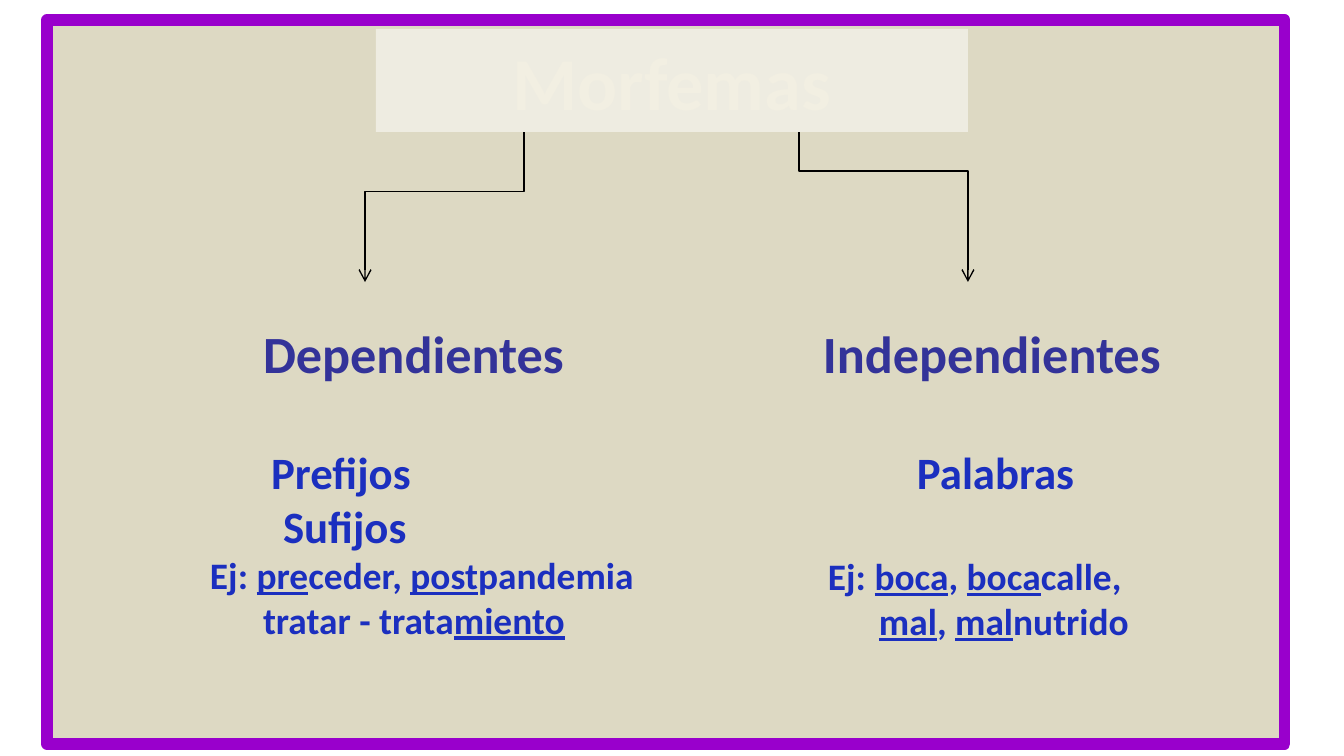
from lxml import etree
from pptx import Presentation
from pptx.dml.color import RGBColor
from pptx.enum.shapes import MSO_CONNECTOR, MSO_SHAPE
from pptx.enum.text import MSO_ANCHOR, PP_ALIGN
from pptx.oxml.ns import qn
from pptx.util import Pt

PX = 6804
WIDTH, HEIGHT = 1344, 756
RECTANGLE = MSO_SHAPE.RECTANGLE
ELBOW = MSO_CONNECTOR.ELBOW
MIDDLE = MSO_ANCHOR.MIDDLE
LEFT, CENTER = PP_ALIGN.LEFT, PP_ALIGN.CENTER

SAND = RGBColor(0xDD, 0xD9, 0xC3)
CREAM = RGBColor(0xEE, 0xEC, 0xE1)
IVORY = RGBColor(0xF2, 0xEF, 0xE2)
PURPLE = RGBColor(0x99, 0x00, 0xCC)
INDIGO = RGBColor(0x33, 0x33, 0x99)
BLUE = RGBColor(0x1B, 0x2F, 0xBF)
BLACK = RGBColor(0, 0, 0)


def write(para, text, size=24, color=BLUE, align=LEFT, indent=0, before=0):
    properties = para._p.get_or_add_pPr()
    properties.set("marL", str(indent * PX))
    properties.set("indent", "0")
    para.alignment = align
    para.space_before = before * PX
    for index, part in enumerate(text.split("_")):
        if part:
            span = para.add_run()
            span.text = part
            span.font.name = "Calibri"
            span.font.size = Pt(size)
            span.font.bold = True
            span.font.underline = index % 2 == 1
            span.font.color.rgb = color


class MorphemeSlide:
    def __init__(self, deck):
        self.page = deck.slides.add_slide(deck.slide_layouts[6])

    def panel(self, left, top, width, height, fill, border=None):
        box = self.page.shapes.add_shape(
            RECTANGLE, left * PX, top * PX, width * PX, height * PX)
        box.shadow.inherit = False
        box.fill.solid()
        box.fill.fore_color.rgb = fill
        if border is None:
            box.line.fill.background()
        else:
            box.line.color.rgb = border
            box.line.width = Pt(6)
            etree.SubElement(box.line._get_or_add_ln(), qn("a:round"))
        return box

    def title(self, left, top, width, height, text):
        box = self.panel(left, top, width, height, CREAM)
        box.text_frame.vertical_anchor = MIDDLE
        write(box.text_frame.paragraphs[0], text, size=40, color=IVORY, align=CENTER)

    def arrow(self, start_x, start_y, end_x, end_y):
        side = 1 if end_x < start_x else -1
        center_x, center_y = (start_x + end_x) / 2, (start_y + end_y) / 2
        half_width = side * (end_y - start_y) / 2
        half_height = abs(end_x - start_x) / 2
        corners = (center_x - half_width, center_y - half_height,
                   center_x + half_width, center_y + half_height)
        link = self.page.shapes.add_connector(
            ELBOW, *(int(corner * PX) for corner in corners))
        properties = link._element.spPr
        properties.find(qn("a:xfrm")).set("rot", str((180 - side * 90) * 60000))
        link.line.color.rgb = BLACK
        link.line.width = Pt(0.75)
        etree.SubElement(link.line._get_or_add_ln(), qn("a:tailEnd"), type="arrow")
        etree.SubElement(properties, qn("a:effectLst"))

    def column(self, left, top, width, height, lines):
        box = self.page.shapes.add_textbox(
            left * PX, top * PX, width * PX, height * PX)
        frame = box.text_frame
        frame.word_wrap = True
        frame.margin_left = frame.margin_right = 0
        frame.margin_top = frame.margin_bottom = 0
        for index, (text, style) in enumerate(lines):
            para = frame.add_paragraph() if index else frame.paragraphs[0]
            write(para, text, **style)


def main():
    deck = Presentation()
    deck.slide_width, deck.slide_height = WIDTH * PX, HEIGHT * PX
    slide = MorphemeSlide(deck)
    slide.panel(47, 20, 1238, 724, SAND, border=PURPLE)
    slide.arrow(524, 101, 365, 282)
    slide.arrow(799, 60, 968, 282)
    slide.title(376, 29, 592, 103, "Morfemas")

    heading = dict(size=28, color=INDIGO)
    slide.column(210, 321, 470, 330, [
        ("Dependientes", dict(heading, indent=53)),
        ("Prefijos", dict(indent=61, before=61)),
        ("Sufijos", dict(indent=73)),
        ("Ej: _pre_ceder, _post_pandemia", dict(size=20)),
        ("tratar - trata_miento_", dict(size=20, indent=53)),
    ])
    slide.column(823, 321, 400, 330, [
        ("Independientes", heading),
        ("Palabras", dict(indent=94, before=61)),
        ("Ej: _boca_, _boca_calle,", dict(size=20, indent=5, before=55)),
        ("_mal_, _mal_nutrido", dict(size=20, indent=56)),
    ])
    deck.save("out.pptx")


if __name__ == "__main__":
    main()
